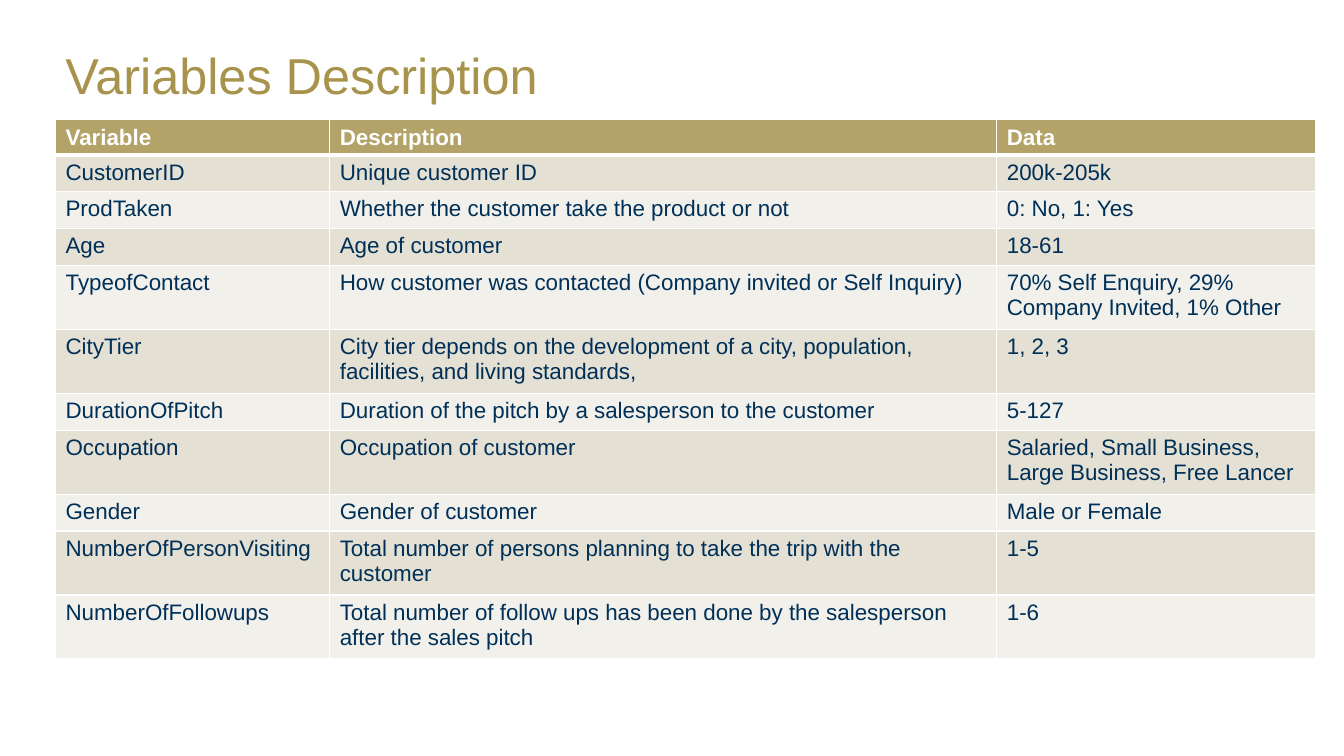
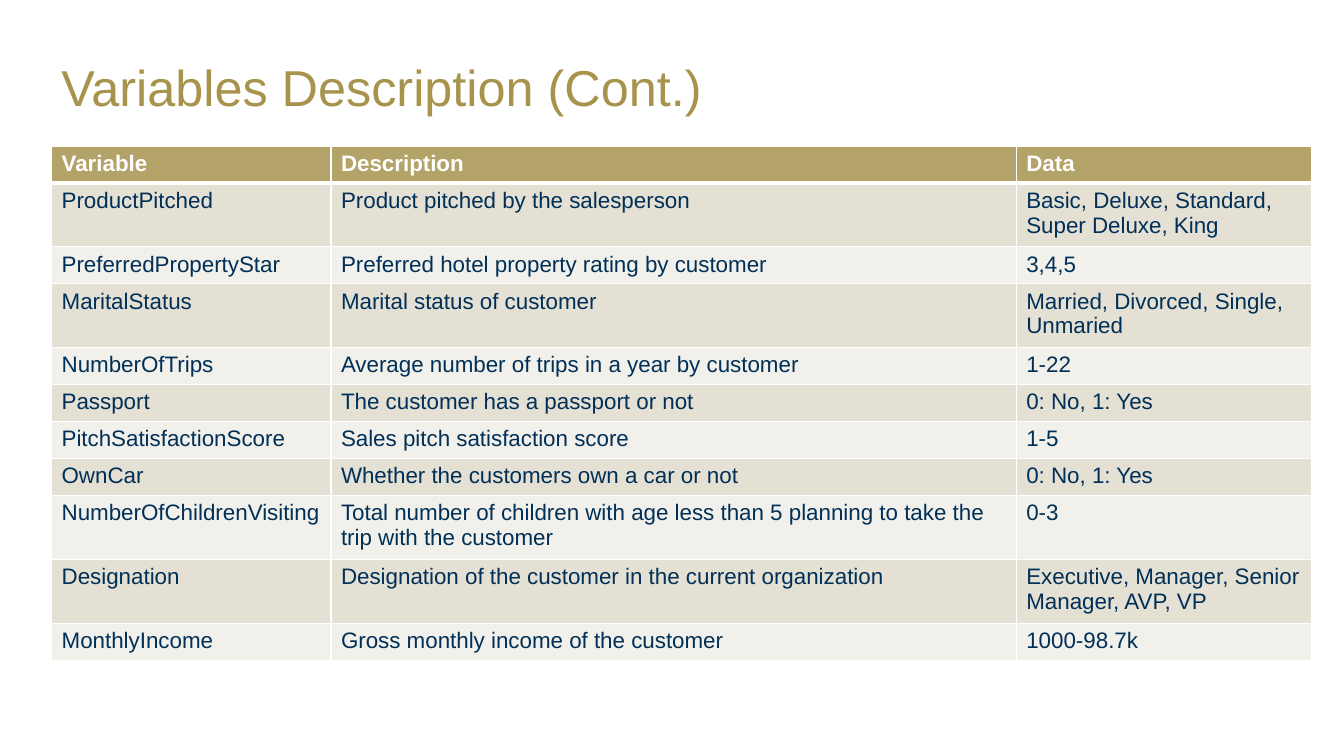
from dataclasses import dataclass

from lxml.etree import SubElement
from pptx import Presentation
from pptx.dml.color import RGBColor
from pptx.enum.text import MSO_ANCHOR
from pptx.oxml.ns import qn
from pptx.util import Cm, Pt


@dataclass(frozen=True)
class Theme:
    font: str = "Arial"
    title_size: int = 36
    table_size: int = 16
    title: str = "A7934B"
    header: str = "B3A369"
    bands: tuple = ("E5E0D4", "F2F0EB")
    ink: str = "003057"
    white: str = "FFFFFF"
    thin_rule: int = 1
    thick_rule: int = 3


THEME = Theme()
SLIDE_SIZE = Cm(33.87), Cm(19.05)
TITLE_SIZE = Cm(31.75), Cm(2.82)
HEADER_HEIGHT = 0.88
HEADINGS = ("Variable", "Description", "Data")


@dataclass(frozen=True)
class VariablesPage:
    """One slide; lengths in cm, two_line_rows counted from 1 below the header."""
    title: str
    left: float
    title_top: float
    table_top: float
    column_widths: tuple
    one_line_height: float
    two_line_height: float
    two_line_rows: tuple
    variables: tuple


PAGES = (
    VariablesPage(
        title="Variables Description",
        left=1.4, title_top=0.56, table_top=3.02,
        column_widths=(6.91, 16.81, 8.03),
        one_line_height=0.93, two_line_height=1.61,
        two_line_rows=(4, 5, 7, 9, 10),
        variables=(
            ("CustomerID", "Unique customer ID", "200k-205k"),
            ("ProdTaken", "Whether the customer take the product or not", "0: No, 1: Yes"),
            ("Age", "Age of customer", "18-61"),
            ("TypeofContact", "How customer was contacted (Company invited or Self Inquiry)",
             "70% Self Enquiry, 29% Company Invited, 1% Other"),
            ("CityTier", "City tier depends on the development of a city, population, "
             "facilities, and living standards,", "1, 2, 3"),
            ("DurationOfPitch", "Duration of the pitch by a salesperson to the customer",
             "5-127"),
            ("Occupation", "Occupation of customer",
             "Salaried, Small Business, Large Business, Free Lancer"),
            ("Gender", "Gender of customer", "Male or Female"),
            ("NumberOfPersonVisiting",
             "Total number of persons planning to take the trip with the customer", "1-5"),
            ("NumberOfFollowups", "Total number of follow ups has been done by the "
             "salesperson after the sales pitch", "1-6"),
        ),
    ),
    VariablesPage(
        title="Variables Description (Cont.)",
        left=1.3, title_top=0.86, table_top=3.68,
        column_widths=(7.04, 17.27, 7.44),
        one_line_height=0.88, two_line_height=1.51,
        two_line_rows=(1, 3, 8, 9),
        variables=(
            ("ProductPitched", "Product pitched by the salesperson",
             "Basic, Deluxe, Standard, Super Deluxe, King"),
            ("PreferredPropertyStar", "Preferred hotel property rating by customer", "3,4,5"),
            ("MaritalStatus", "Marital status of customer",
             "Married, Divorced, Single, Unmaried"),
            ("NumberOfTrips", "Average number of trips in a year by customer", "1-22"),
            ("Passport", "The customer has a passport or not", "0: No, 1: Yes"),
            ("PitchSatisfactionScore", "Sales pitch satisfaction score", "1-5"),
            ("OwnCar", "Whether the customers own a car or not", "0: No, 1: Yes"),
            ("NumberOfChildrenVisiting", "Total number of children with age less than 5 "
             "planning to take the trip with the customer", "0-3"),
            ("Designation", "Designation of the customer in the current organization",
             "Executive, Manager, Senior Manager, AVP, VP"),
            ("MonthlyIncome", "Gross monthly income of the customer", "1000-98.7k"),
        ),
    ),
)


def write_text(frame, text, *, size, color, bold=False, line_spacing=None):
    paragraph = frame.paragraphs[0]
    paragraph.line_spacing = line_spacing
    run = paragraph.add_run()
    run.text = text
    run.font.name = THEME.font
    run.font.size = Pt(size)
    run.font.bold = bold
    run.font.color.rgb = RGBColor.from_string(color)


def add_title(slide, page):
    title = slide.shapes.add_textbox(Cm(page.left), Cm(page.title_top), *TITLE_SIZE)
    frame = title.text_frame
    frame.word_wrap = True
    frame.vertical_anchor = MSO_ANCHOR.MIDDLE
    write_text(frame, page.title, size=THEME.title_size, color=THEME.title, line_spacing=0.9)


def set_borders(cell, top, bottom):
    """Rule the cell in white; must run before the fill, which follows in the XML."""
    properties = cell._tc.get_or_add_tcPr()
    thin = THEME.thin_rule
    for side, width in (("L", thin), ("R", thin), ("T", top), ("B", bottom)):
        rule = SubElement(properties, qn(f"a:ln{side}"), w=str(Pt(width)))
        fill = SubElement(rule, qn("a:solidFill"))
        SubElement(fill, qn("a:srgbClr"), val=THEME.white)


def format_cell(cell, text, row_index):
    is_header = row_index == 0
    set_borders(
        cell,
        top=THEME.thick_rule if row_index == 1 else THEME.thin_rule,
        bottom=THEME.thick_rule if is_header else THEME.thin_rule,
    )
    background = THEME.header if is_header else THEME.bands[(row_index - 1) % 2]
    cell.fill.solid()
    cell.fill.fore_color.rgb = RGBColor.from_string(background)
    write_text(cell.text_frame, text, size=THEME.table_size, bold=is_header,
               color=THEME.white if is_header else THEME.ink)


def row_height(page, row_index):
    if row_index == 0:
        return HEADER_HEIGHT
    return page.two_line_height if row_index in page.two_line_rows else page.one_line_height


def add_variables_table(slide, page):
    rows = (HEADINGS, *page.variables)
    heights = [row_height(page, index) for index in range(len(rows))]
    table = slide.shapes.add_table(
        len(rows), len(HEADINGS), Cm(page.left), Cm(page.table_top),
        Cm(sum(page.column_widths)), Cm(sum(heights)),
    ).table
    for column, width in zip(table.columns, page.column_widths):
        column.width = Cm(width)
    for row_index, (row, height, texts) in enumerate(zip(table.rows, heights, rows)):
        row.height = Cm(height)
        for cell, text in zip(row.cells, texts):
            format_cell(cell, text, row_index)


def main():
    presentation = Presentation()
    presentation.slide_width, presentation.slide_height = SLIDE_SIZE
    blank = presentation.slide_layouts[6]
    for page in PAGES:
        slide = presentation.slides.add_slide(blank)
        add_variables_table(slide, page)
        add_title(slide, page)
    presentation.save("out.pptx")


if __name__ == "__main__":
    main()
